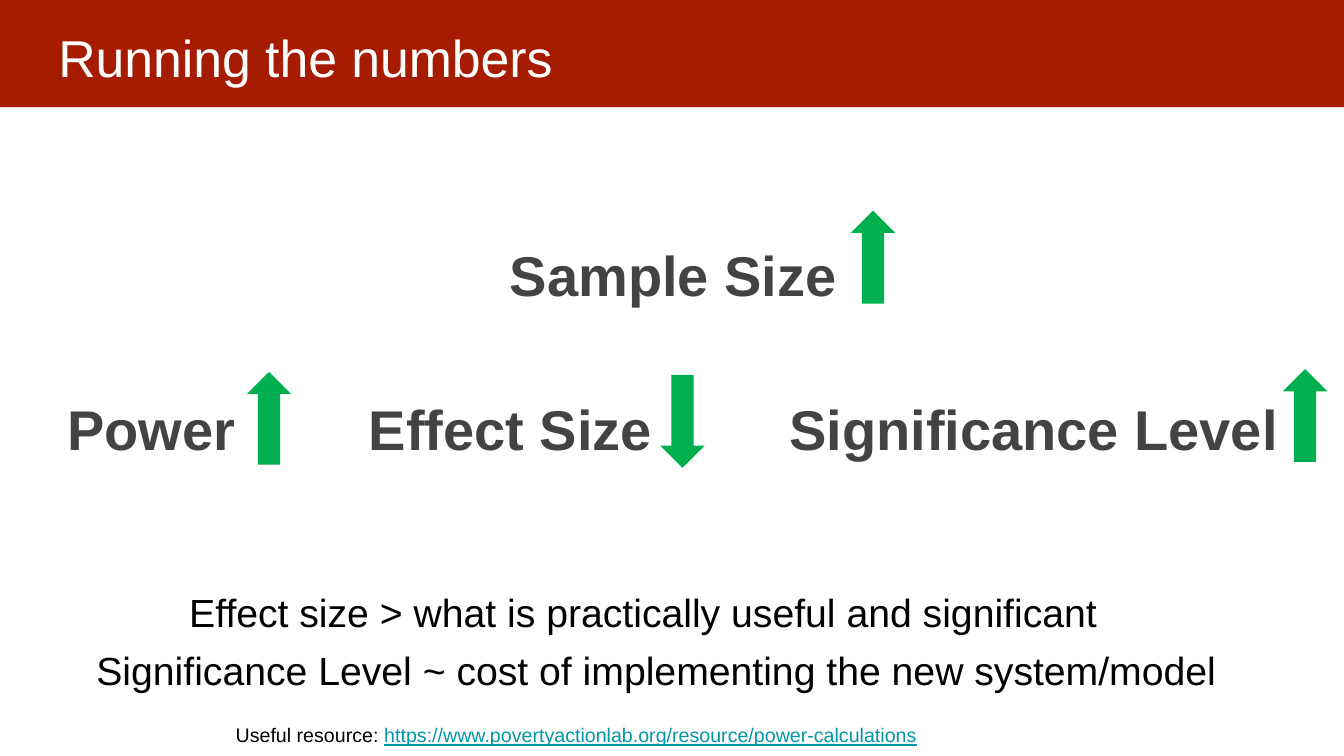
"""Build the slide on how sample size depends on the test settings."""
from pptx import Presentation
from pptx import util as u
from pptx.dml.color import RGBColor
from pptx.enum import shapes, text

COLORS = {
    "banner": "A61C00",
    "title": "FFFFFF",
    "factor": "434343",
    "arrow": "00B050",
    "body": "000000",
    "link": "0097A7",
}


def add_block(slide, kind, left, top, width, height, color):
    """Draw a filled preset shape without outline or shadow."""
    block = slide.shapes.add_shape(
        kind, u.Cm(left), u.Cm(top), u.Cm(width), u.Cm(height))
    block.shadow.inherit = False
    block.fill.solid()
    block.fill.fore_color.rgb = RGBColor.from_string(COLORS[color])
    block.line.fill.background()


def add_run(paragraph, words, size, color, bold=False, underline=False):
    """Append formatted text to a paragraph."""
    run = paragraph.add_run()
    run.text = words
    run.font.name = "Arial"
    run.font.size = u.Pt(size)
    run.font.bold = bold
    run.font.underline = underline
    run.font.color.rgb = RGBColor.from_string(COLORS[color])


def add_text(slide, words, left, top, width, height, inset=0.25, wrap=False,
             anchor=text.MSO_ANCHOR.TOP, **style):
    """Place a text box and return its paragraph."""
    box = slide.shapes.add_textbox(
        u.Cm(left), u.Cm(top), u.Cm(width), u.Cm(height))
    frame = box.text_frame
    frame.word_wrap = wrap
    frame.vertical_anchor = anchor
    frame.margin_left = frame.margin_right = u.Cm(inset)
    frame.margin_top = frame.margin_bottom = u.Cm(inset / 2)
    paragraph = frame.paragraphs[0]
    add_run(paragraph, words, **style)
    return paragraph


def add_factor(slide, name, left, top, width, arrow, arrow_left, arrow_top):
    """Add a factor with the arrow that shows its direction of change."""
    add_text(slide, name, left, top, width, 1.7, inset=0,
             size=40, color="factor", bold=True)
    add_block(slide, arrow, arrow_left, arrow_top, 1.12, 2.34, "arrow")


def main():
    """Compose and save the slide."""
    deck = Presentation()
    deck.slide_width, deck.slide_height = u.Cm(33.87), u.Cm(19.05)
    slide = deck.slides.add_slide(deck.slide_layouts[6])

    add_block(slide, shapes.MSO_SHAPE.RECTANGLE,
              -0.05, -0.1, 33.95, 2.8, "banner")
    add_text(slide, "Running the numbers", 1.14, 0.37, 31.55, 2.11,
             inset=0.33, wrap=True, anchor=text.MSO_ANCHOR.MIDDLE,
             size=37, color="title")

    up, down = shapes.MSO_SHAPE.UP_ARROW, shapes.MSO_SHAPE.DOWN_ARROW
    factors = [
        ("Sample Size", 12.85, 6.06, 8.4, up, 21.44, 5.31),
        ("Power", 1.7, 9.94, 4.4, up, 6.22, 9.37),
        ("Effect Size", 9.3, 9.94, 7.3, down, 16.64, 9.45),
        ("Significance Level", 19.9, 9.94, 12.4, up, 32.33, 9.3),
    ]
    for factor in factors:
        add_factor(slide, *factor)

    add_text(slide, "Effect size > what is practically useful and significant",
             4.52, 14.7, 23.67, 1.45, size=28, color="body")
    add_text(slide,
             "Significance Level ~ cost of implementing the new system/model",
             2.18, 16.15, 29.08, 1.45, size=28, color="body")
    resource = add_text(slide, "Useful resource: ", 5.69, 18.1, 17.78, 0.9,
                        size=14, color="body")
    add_run(resource,
            "https://www.povertyactionlab.org/resource/power-calculations",
            14, "link", underline=True)

    deck.save("out.pptx")


if __name__ == "__main__":
    main()
